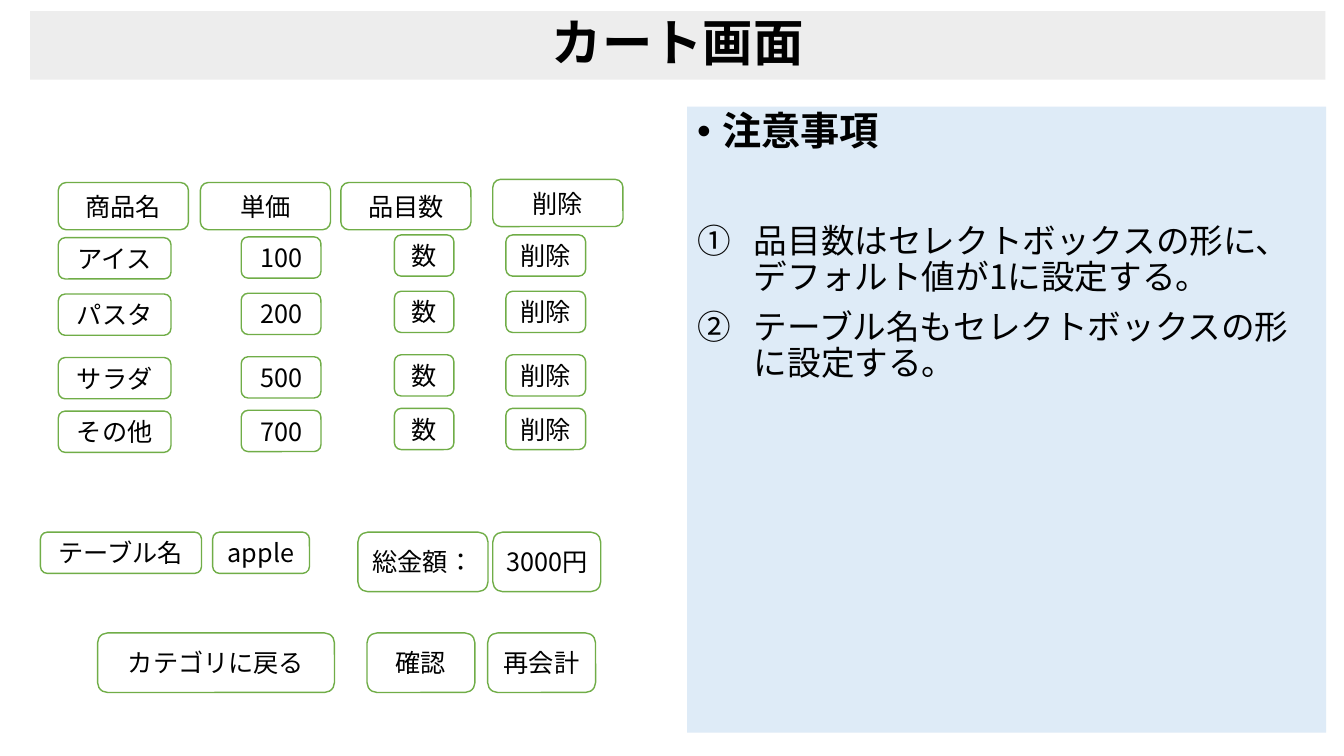
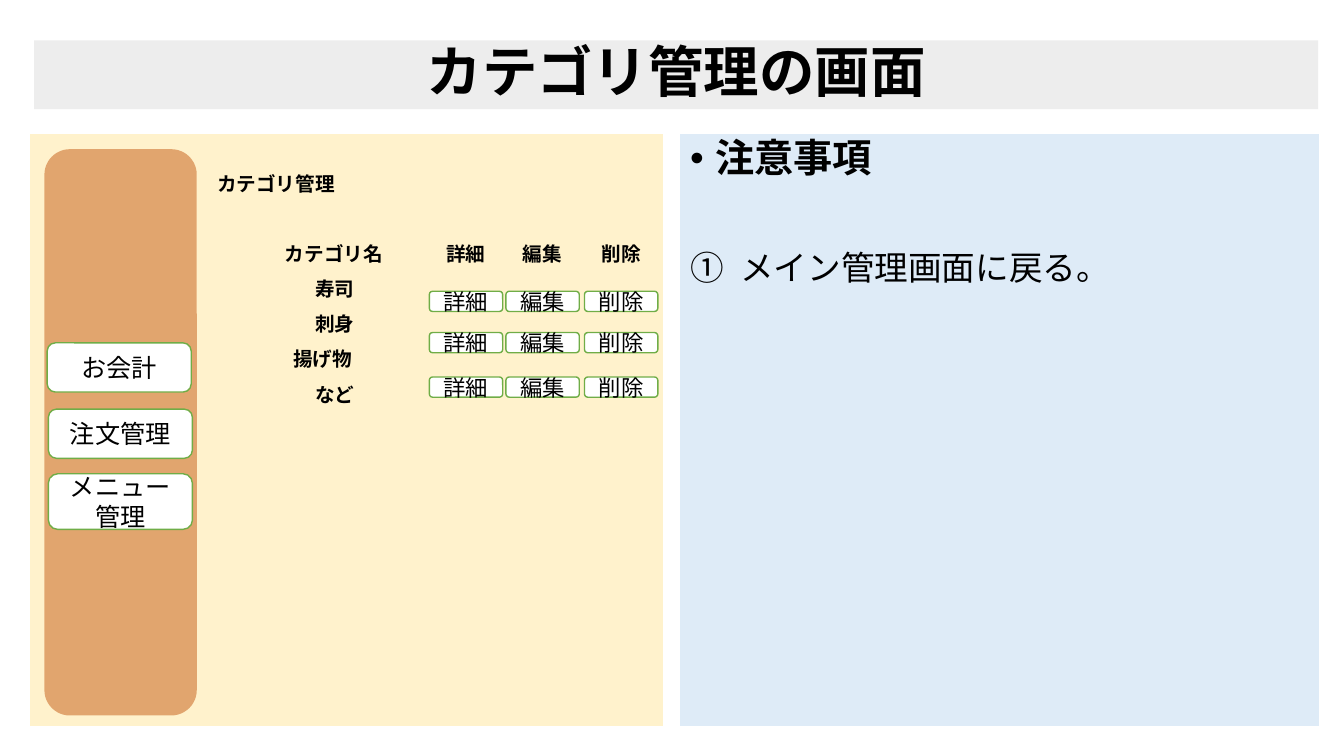
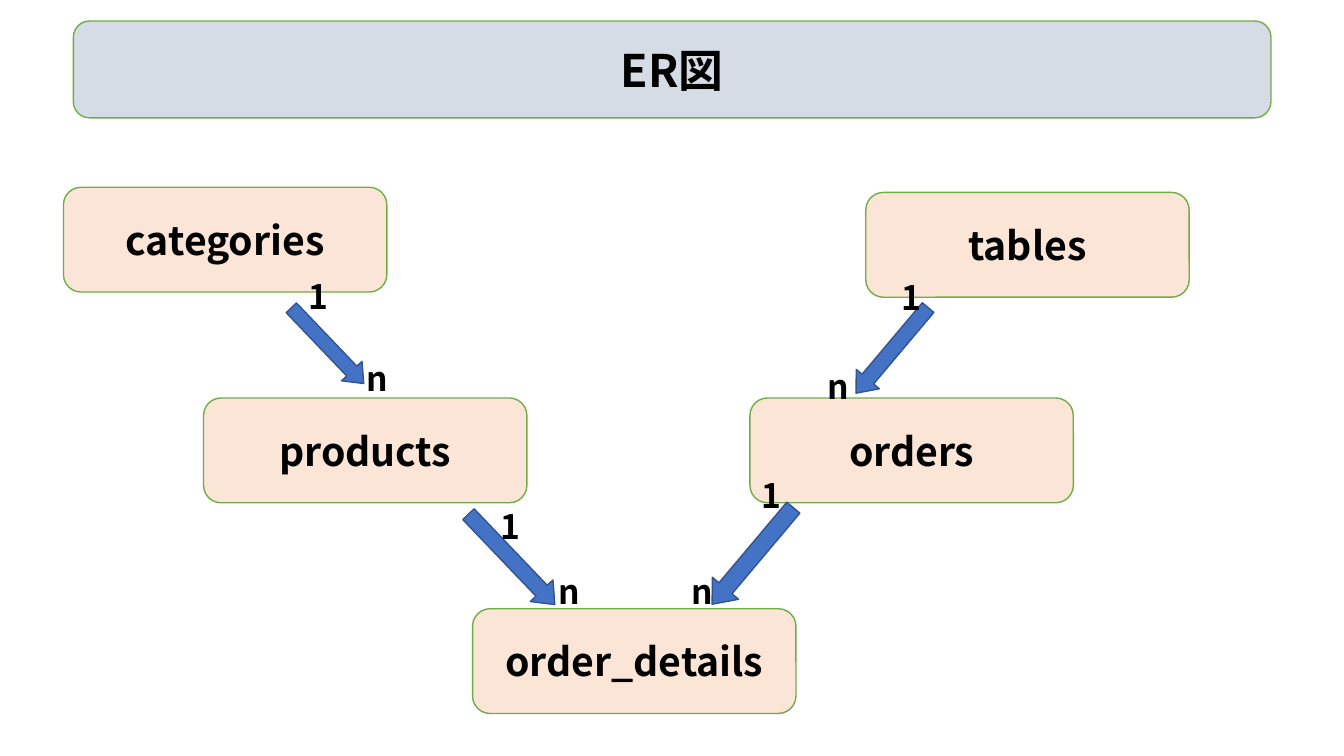
from lxml import etree
from pptx import Presentation
from pptx.dml.color import RGBColor
from pptx.enum.lang import MSO_LANGUAGE_ID
from pptx.enum.shapes import MSO_SHAPE
from pptx.enum.text import MSO_ANCHOR, PP_ALIGN
from pptx.oxml.ns import qn
from pptx.util import Cm, Pt

RECT, ROUND = MSO_SHAPE.RECTANGLE, MSO_SHAPE.ROUNDED_RECTANGLE
DOWN_ARROW = MSO_SHAPE.DOWN_ARROW
MIDDLE, TOP = MSO_ANCHOR.MIDDLE, MSO_ANCHOR.TOP
CENTER, LEFT = PP_ALIGN.CENTER, PP_ALIGN.LEFT
JAPANESE = MSO_LANGUAGE_ID.JAPANESE

FONT = "Noto Sans CJK JP"
BLACK = RGBColor(0x00, 0x00, 0x00)
WHITE = RGBColor(0xFF, 0xFF, 0xFF)
GREEN = RGBColor(0x70, 0xAD, 0x47)
BAND_GREY = RGBColor(0xED, 0xED, 0xED)
NOTE_BLUE = RGBColor(0xDE, 0xEB, 0xF7)
CREAM = RGBColor(0xFF, 0xF2, 0xCC)
RUST = RGBColor(0xC5, 0x5A, 0x11)
HEADER_BLUE = RGBColor(0xD6, 0xDC, 0xE5)
PEACH = RGBColor(0xFB, 0xE5, 0xD6)
ARROW_BLUE = RGBColor(0x44, 0x72, 0xC4)
ARROW_EDGE = RGBColor(0x32, 0x54, 0x91)


def add_text(paragraph, text, size, bold=False, align=LEFT):
    """Add one styled run to a paragraph."""
    paragraph.alignment = align
    run = paragraph.add_run()
    run.text = text
    run.font.size, run.font.bold, run.font.name = Pt(size), bold, FONT
    run.font.color.rgb = BLACK
    run.font.language_id = JAPANESE
    etree.SubElement(run.font._element, qn("a:ea"), typeface=FONT)


def add_box(slide, at, text="", size=18, bold=False, fill=WHITE, line=GREEN, kind=ROUND):
    """Add a filled shape, placed in centimetres, with centred text."""
    box = slide.shapes.add_shape(kind, *(Cm(length) for length in at))
    box.shadow.inherit = False
    box.fill.solid()
    box.fill.fore_color.rgb = fill
    if line is None:
        box.line.fill.background()
    else:
        box.line.color.rgb = line
        box.line.width = Pt(1)
    box.text_frame.word_wrap = True
    box.text_frame.vertical_anchor = MIDDLE
    if text:
        add_text(box.text_frame.paragraphs[0], text, size, bold, CENTER)
    return box


deck = Presentation()
deck.slide_width, deck.slide_height = Cm(33.87), Cm(19.05)
blank = deck.slide_layouts[6]
cart, category, diagram = (deck.slides.add_slide(blank) for _ in range(3))

# Title bands and notes panels
screens = [
    (cart, "カート画面", 36, (0.76, 0.28, 32.64, 1.73), (17.32, 2.69, 16.1, 15.77), 1.43,
     ["品目数はセレクトボックスの形に、デフォルト値が1に設定する。",
      "テーブル名もセレクトボックスの形に設定する。"]),
    (category, "カテゴリ管理の画面", 39.6, (0.86, 1.02, 32.36, 1.73),
     (17.14, 3.38, 16.1, 14.91), 1.27, ["メイン管理画面に戻る。"]),
]
for slide, title, title_size, band_at, notes_at, number_indent, rules in screens:
    band = add_box(slide, band_at, title, title_size, True, BAND_GREY, None, RECT)
    band.text_frame.paragraphs[0].line_spacing = 0.9
    notes = add_box(slide, notes_at, fill=NOTE_BLUE, line=None, kind=RECT).text_frame
    notes.vertical_anchor = TOP
    for index, note in enumerate(["注意事項"] + rules):
        paragraph = notes.add_paragraph() if index else notes.paragraphs[0]
        is_heading = index == 0
        add_text(paragraph, note, 28 if is_heading else 24, is_heading)
        paragraph.line_spacing = 0.9
        paragraph.space_before = Pt((0, 50, 10)[index])
        hanging = Cm(0.64 if is_heading else number_indent)
        properties = paragraph._p.get_or_add_pPr()
        properties.set("marL", str(hanging))
        properties.set("indent", str(-hanging))
        if is_heading:
            etree.SubElement(properties, qn("a:buFont"), typeface="Arial")
            etree.SubElement(properties, qn("a:buChar"), char="•")
        else:
            etree.SubElement(properties, qn("a:buAutoNum"), type="circleNumDbPlain")

# Cart: column headings, item rows, totals and buttons
for heading, left, top in [("商品名", 1.47, 4.6), ("単価", 5.05, 4.6),
                           ("品目数", 8.59, 4.6), ("削除", 12.42, 4.52)]:
    add_box(cart, (left, top, 3.28, 1.19), heading)

cart_columns = [(1.47, 2.84, 0.07), (6.08, 2.01, 0.05), (9.94, 1.5, 0), (12.75, 2.01, 0)]
cart_items = [("アイス", "100", 5.92), ("パスタ", "200", 7.34),
              ("サラダ", "500", 8.94), ("その他", "700", 10.29)]
for item, price, top in cart_items:
    for cell, (left, width, drop) in zip((item, price, "数", "削除"), cart_columns):
        add_box(cart, (left, top + drop, width, 1.04), cell)

for label, at in [
    ("テーブル名", (1.02, 13.41, 4.06, 1.04)),
    ("apple", (5.36, 13.41, 2.44, 1.04)),
    ("総金額：", (9.02, 13.41, 3.28, 1.5)),
    ("3000円", (12.42, 13.41, 2.72, 1.5)),
    ("カテゴリに戻る", (2.46, 15.95, 5.97, 1.5)),
    ("確認", (9.25, 15.95, 2.72, 1.5)),
    ("再会計", (12.29, 15.95, 2.72, 1.5)),
]:
    add_box(cart, at, label)

# Category management: listing, action columns and side menu
listing = add_box(category, (0.76, 3.38, 15.95, 14.91), fill=CREAM, line=None, kind=RECT).text_frame
listing.vertical_anchor = TOP
listing.margin_top = Cm(1.01)
listing_lines = [("カテゴリ管理", 4.46, 0), ("カテゴリ名", 6.17, 35), ("寿司", 6.93, 10),
                 ("刺身", 6.93, 10), ("揚げ物", 6.38, 10), ("など", 6.93, 10)]
for index, (text, indent, gap) in enumerate(listing_lines):
    paragraph = listing.add_paragraph() if index else listing.paragraphs[0]
    add_text(paragraph, text, 14, True)
    paragraph.line_spacing = 0.9
    paragraph.space_before = Pt(gap)
    properties = paragraph._p.get_or_add_pPr()
    properties.set("marL", str(Cm(indent)))
    properties.set("indent", "0")

for action, left in [("詳細", 10.82), ("編集", 12.75), ("削除", 14.73)]:
    heading = category.shapes.add_textbox(Cm(left), Cm(5.94), Cm(1.85), Cm(0.9)).text_frame
    heading.word_wrap = True
    heading.vertical_anchor = MIDDLE
    add_text(heading.paragraphs[0], action, 14, True, CENTER)
    for top in (7.34, 8.38, 9.5):
        add_box(category, (left, top, 1.85, 0.51), action, 16)

sidebar = add_box(category, (1.12, 3.76, 3.84, 14.27), fill=RUST, line=None)
sidebar_color = sidebar._element.spPr.find(qn("a:solidFill"))[0]
etree.SubElement(sidebar_color, qn("a:alpha"), val="50000")
for entry, left, top, height in [("お会計", 1.19, 8.64, 1.24), ("注文管理", 1.22, 10.31, 1.24),
                                 ("メニュー管理", 1.22, 11.94, 1.4)]:
    add_box(category, (left, top, 3.63, height), entry)

# ER diagram: entities, arrows and cardinalities
add_box(diagram, (1.85, 0.53, 30.18, 2.44), "ER図", 32, True, HEADER_BLUE)
for entity, left, top in [("categories", 1.6, 4.72), ("products", 5.13, 10.03),
                          ("orders", 18.9, 10.03), ("tables", 21.82, 4.85),
                          ("order_details", 11.91, 15.34)]:
    add_box(diagram, (left, top, 8.15, 2.64), entity, 28, True, PEACH)

relations = [
    ((7.9, 7.39, 0.71, 2.64), 316.3, (7.52, 6.83), (8.99, 8.89)),
    ((12.5, 12.52, 0.79, 3.15), 316.3, (12.37, 12.62), (13.82, 14.25)),
    ((18.54, 12.42, 0.86, 3.18), 40.1, (18.95, 11.84), (17.17, 14.25)),
    ((22.1, 7.42, 0.76, 2.82), 40.1, (22.48, 6.86), (20.6, 9.09)),
]
for arrow_at, angle, one_at, many_at in relations:
    arrow = add_box(diagram, arrow_at, fill=ARROW_BLUE, line=ARROW_EDGE, kind=DOWN_ARROW)
    arrow.rotation = angle
    arrow.adjustments[1] = 0.61
    for cardinality, (left, top) in [("1", one_at), ("n", many_at)]:
        label = diagram.shapes.add_textbox(Cm(left), Cm(top), Cm(1.12), Cm(1.27)).text_frame
        label.word_wrap = True
        add_text(label.paragraphs[0], cardinality, 24, True)

deck.save("out.pptx")
